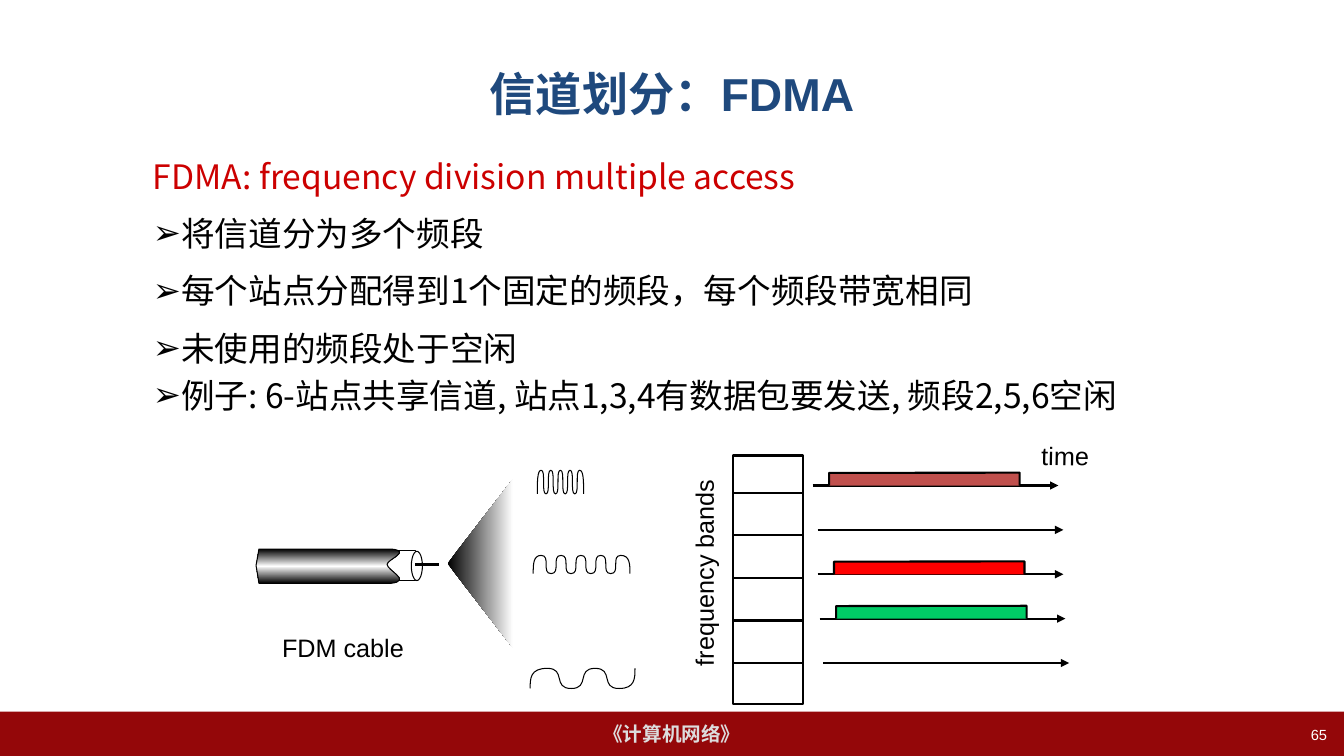
from lxml import etree
from pptx import Presentation
from pptx import util as u
from pptx.dml.color import RGBColor
from pptx.enum import shapes, text
from pptx.oxml import ns

COLORS = {
    "footer": "940709", "footer_text": "DDDDDD", "title": "1F497D",
    "heading": "CC0000", "black": "000000", "white": "FFFFFF",
    "rose": "C0504D", "red": "FF0000", "green": "00CC66",
}
ALIGN = text.PP_ALIGN
SHAPE = shapes.MSO_SHAPE


class SlideBuilder:
    font = "Arial"
    east_asian_font = "Noto Sans CJK SC"

    def __init__(self, presentation):
        self.slide = presentation.slides.add_slide(presentation.slide_layouts[6])
        self.shapes = self.slide.shapes

    def color(self, name):
        return RGBColor.from_string(COLORS[name])

    def style(self, shape, fill=None, line=None):
        shape.shadow.inherit = False
        if fill:
            shape.fill.solid()
            shape.fill.fore_color.rgb = self.color(fill)
        else:
            shape.fill.background()
        if line:
            shape.line.color.rgb = self.color("black")
            shape.line.width = u.Pt(line)
        else:
            shape.line.fill.background()
        return shape

    def shape(self, kind, left, top, width, height, fill, line=None):
        shape = self.shapes.add_shape(kind, u.Pt(left), u.Pt(top), u.Pt(width), u.Pt(height))
        return self.style(shape, fill, line)

    def freeform(self, points, fill=None, line=None, close=False, curves=()):
        points = [(u.Pt(x), u.Pt(y)) for x, y in [*points, *curves]]
        builder = self.shapes.build_freeform(*points[0], scale=1.0)
        builder.add_line_segments(points[1:], close=close)
        shape = builder.convert_to_shape()
        if curves:
            segments = list(shape._element.iter(ns.qn("a:lnTo")))[-len(curves):]
            for index in range(0, len(segments), 3):
                curve = etree.Element(ns.qn("a:cubicBezTo"))
                segments[index].addprevious(curve)
                for segment in segments[index:index + 3]:
                    curve.append(segment[0])
                    segment.getparent().remove(segment)
        return self.style(shape, fill, line)

    def gradient(self, shape, stops, angle):
        shape.fill.gradient()
        gradient = shape._element.spPr.find(ns.qn("a:gradFill"))
        for child in list(gradient):
            gradient.remove(child)
        stop_list = etree.SubElement(gradient, ns.qn("a:gsLst"))
        for position, name in stops:
            stop = etree.SubElement(stop_list, ns.qn("a:gs"), pos=str(position * 1000))
            etree.SubElement(stop, ns.qn("a:srgbClr"), val=COLORS[name])
        etree.SubElement(gradient, ns.qn("a:lin"), ang=str(angle * 60000), scaled="0")

    def line(self, start, end, width=1.5, arrow=False):
        connector = self.shapes.add_connector(
            shapes.MSO_CONNECTOR.STRAIGHT, *(u.Pt(value) for value in (*start, *end)))
        connector.line.color.rgb = self.color("black")
        connector.line.width = u.Pt(width)
        if arrow:
            etree.SubElement(connector.line._get_or_add_ln(), ns.qn("a:tailEnd"), type="triangle")
        etree.SubElement(connector._element.spPr, ns.qn("a:effectLst"))

    def run(self, paragraph, words, size, color, font=None, bold=False):
        run = paragraph.add_run()
        run.text = words
        run.font.size = u.Pt(size)
        run.font.bold = bold
        run.font.color.rgb = self.color(color)
        run.font.name = font or self.font
        etree.SubElement(run._r.get_or_add_rPr(), ns.qn("a:ea"), typeface=self.east_asian_font)

    def text(self, words, left, top, width, height, size, color="black",
             align=ALIGN.LEFT, bold=False, wrap=True, middle=False, rotation=0):
        box = self.shapes.add_textbox(u.Pt(left), u.Pt(top), u.Pt(width), u.Pt(height))
        box.rotation = rotation
        frame = box.text_frame
        frame.word_wrap = wrap
        if middle:
            frame.vertical_anchor = text.MSO_ANCHOR.MIDDLE
        frame.paragraphs[0].alignment = align
        self.run(frame.paragraphs[0], words, size, color, bold=bold)

    def footer(self, words):
        bar = self.shape(SHAPE.RECTANGLE, 0, 508.3, 960, 31.7, "footer")
        bar.text_frame.word_wrap = False
        bar.text_frame.vertical_anchor = text.MSO_ANCHOR.MIDDLE
        paragraph = bar.text_frame.paragraphs[0]
        paragraph.alignment = ALIGN.CENTER
        self.run(paragraph, words, 14, "footer_text", bold=True)

    def body(self, heading, bullets):
        box = self.shapes.add_textbox(u.Pt(102.2), u.Pt(108), u.Pt(822), u.Pt(366))
        frame = box.text_frame
        frame.word_wrap = True
        self.run(frame.paragraphs[0], heading, 24, "heading", self.east_asian_font)
        for words in bullets:
            paragraph = frame.add_paragraph()
            properties = paragraph._p.get_or_add_pPr()
            properties.set("marL", str(u.Pt(20.2)))
            properties.set("indent", str(u.Pt(-20.2)))
            etree.SubElement(properties, ns.qn("a:buFont"), typeface=self.font)
            etree.SubElement(properties, ns.qn("a:buChar"), char="➢")
            paragraph.space_before = u.Pt(12)
            self.run(paragraph, words, 24, "black", self.east_asian_font)
        paragraph.line_spacing = 0.75

    def wave(self, start, first_peak, step, turns, end, top, bottom, pull=1):
        anchors = [start, *(first_peak + step * turn for turn in range(turns)), end]
        middle = (top + bottom) / 2
        curves = []
        for index, (x, following) in enumerate(zip(anchors, anchors[1:])):
            y, target = (bottom, top) if index % 2 == 0 else (top, bottom)
            if index == 0:
                controls = [(x, middle), (x, target)]
            elif index == turns:
                controls = [(following, y), (following, middle)]
            else:
                controls = [(x + pull * step, y), (following - pull * step, target)]
            curves += [*controls, (following, target)]
        self.freeform([(start, bottom)], line=0.75, curves=curves)

    def cable(self):
        self.shape(SHAPE.RECTANGLE, 275.8, 393.1, 21, 21.6, "white", 0.75)
        outline = [(185, 392.2), (182.9, 403.9), (185, 416.7), (279.4, 416.7)]
        notch = [(294.5, 414.7), (276.5, 407.5), (276.5, 403.2),
                 (276.5, 399.6), (294.5, 393.8), (279.4, 392.2), ]
        sheath = self.freeform(outline, "white", 0.75, close=True, curves=notch)
        self.gradient(sheath, [(0, "black"), (50, "white"), (100, "black")], 90)
        self.shape(SHAPE.OVAL, 293.8, 393.8, 7.9, 20.9, "white", 0.75)
        self.line((296.6, 403.2), (313.9, 403.2), 2.25)

    def band_table(self):
        self.shape(SHAPE.RECTANGLE, 523.8, 325.4, 49.7, 177.3, "white", 1.5)
        for row in range(5):
            y = 352 + 30.4 * row
            self.line((523.5, y), (573.3, y))

    def time_axes(self):
        starts = (580.5, 584, 584, 585.5, 588.2)
        packets = ("rose", None, "red", "green", None)
        for row, (x, packet) in enumerate(zip(starts, packets)):
            y = 346.8 + 31.7 * row
            self.line((x, y), (x + 175.5, y), arrow=True)
            if packet:
                left, right = x + 11.7, x + 147.8
                self.freeform([(left, y), (left, y - 9), (right, y - 9.2), (right, y)], packet, 1.5)


def main():
    presentation = Presentation()
    presentation.slide_width = u.Pt(960)
    presentation.slide_height = u.Pt(540)
    builder = SlideBuilder(presentation)
    builder.footer("《计算机网络》")
    builder.text("信道划分：FDMA", 48, 21.6, 864, 90, 33, "title", ALIGN.CENTER, bold=True, middle=True)
    builder.text("65", 731, 514.8, 224, 25.2, 10.5, "white", ALIGN.RIGHT)
    builder.body("FDMA: frequency division multiple access", [
        "将信道分为多个频段",
        "每个站点分配得到1个固定的频段，每个频段带宽相同",
        "未使用的频段处于空闲",
        "例子: 6-站点共享信道, 站点1,3,4有数据包要发送, 频段2,5,6空闲",
    ])
    builder.band_table()
    builder.time_axes()
    builder.text("frequency bands", 429, 394.6, 147.6, 28.8, 18, wrap=False, rotation=270)
    builder.text("time", 736.8, 311, 48.2, 28.8, 18, wrap=False, rotation=1.1)
    fan = builder.freeform([(366.5, 342), (319.7, 402.5), (366.5, 463)], "white", close=True)
    builder.gradient(fan, [(0, "black"), (100, "white")], 0)
    builder.cable()
    builder.wave(380.9, 386.6, 7.1, 9, 450, 396.7, 409.7)
    builder.wave(383.8, 386.6, 3.43, 9, 416.9, 335.9, 352.8)
    builder.wave(378.7, 391, 17.05, 4, 453.6, 477.4, 491.8, pull=0.8)
    builder.text("FDM cable", 194.4, 448.2, 101.5, 28.8, 18, wrap=False)
    presentation.save("out.pptx")


if __name__ == "__main__":
    main()
